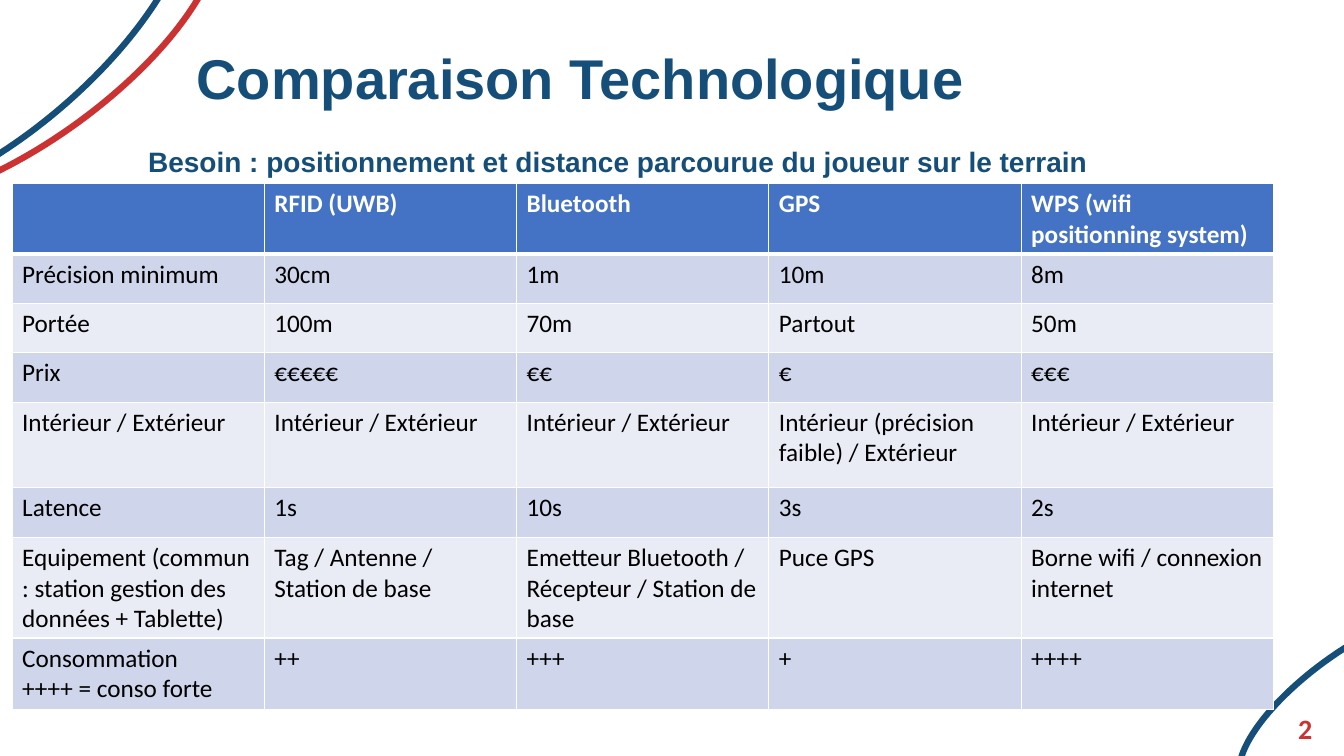
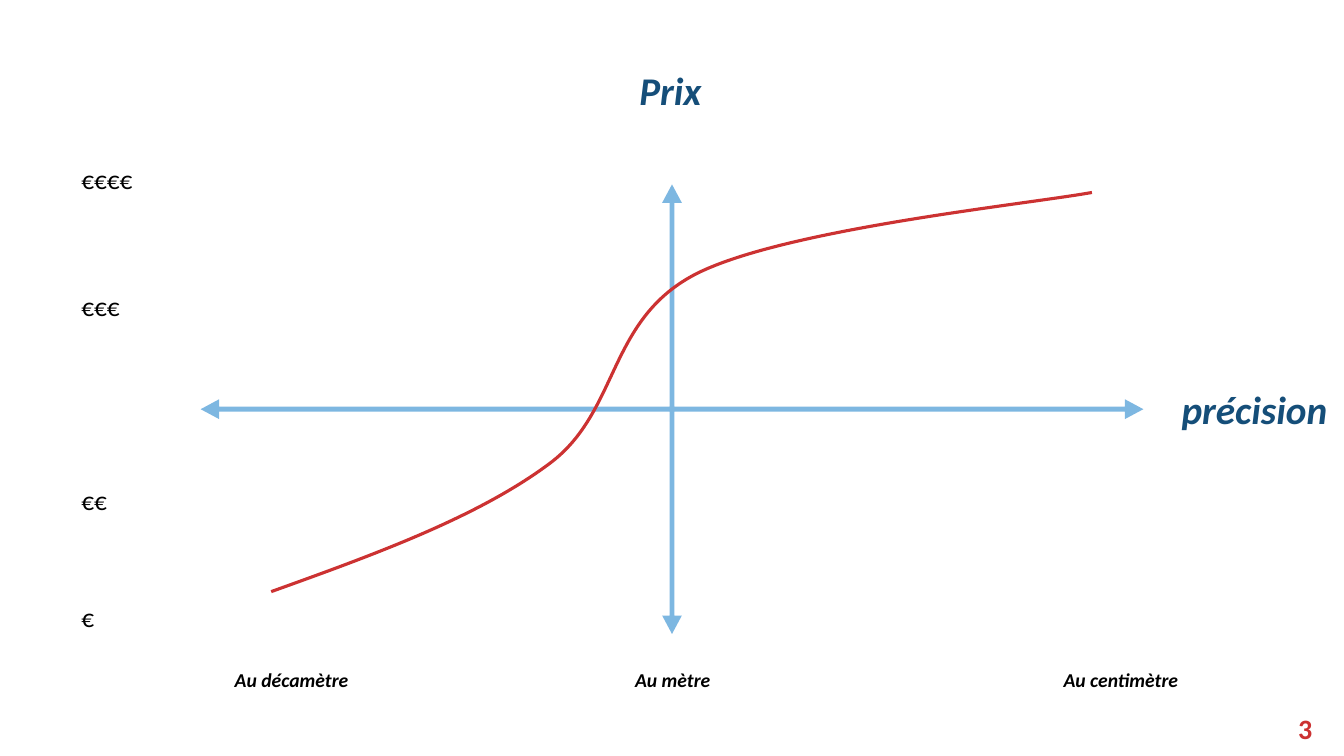
from dataclasses import dataclass
from typing import NamedTuple

from lxml.etree import SubElement
from pptx import Presentation
from pptx.dml.color import RGBColor
from pptx.enum.shapes import MSO_SHAPE
from pptx.enum.text import MSO_ANCHOR, MSO_AUTO_SIZE, PP_ALIGN
from pptx.oxml.ns import qn
from pptx.shapes.autoshape import Shape
from pptx.slide import Slide
from pptx.table import _Cell
from pptx.text.text import TextFrame
from pptx.util import Inches, Pt


class Style(NamedTuple):
    font: str
    size: int
    color: str
    bold: bool = False
    italic: bool = False


@dataclass(frozen=True)
class Theme:
    navy: str = "154E79"
    red: str = "CC3232"
    axis: str = "0072C6"
    axis_opacity: int = 51
    white: str = "FFFFFF"
    header: str = "4472C4"
    bands: tuple[str, str] = ("CFD5EA", "E9EBF5")
    title: Style = Style("Arial", 40, "154E79", bold=True)
    subtitle: Style = Style("Arial", 20, "154E79", bold=True)
    number: Style = Style("Calibri", 20, "CC3232", bold=True)
    table_head: Style = Style("Calibri", 18, "FFFFFF", bold=True)
    table_body: Style = Style("Calibri", 18, "000000")
    axis_name: Style = Style("Calibri", 28, "154E79", bold=True, italic=True)
    price: Style = Style("Calibri", 18, "000000")
    precision: Style = Style("Calibri", 14, "000000", bold=True, italic=True)


THEME = Theme()


class Box(NamedTuple):
    left: float
    top: float
    width: float
    height: float

    def emu(self) -> tuple[int, ...]:
        return tuple(Inches(value) for value in self)


class Arc(NamedTuple):
    box: Box
    rotation: float
    color: str


class Label(NamedTuple):
    text: str
    box: Box
    style: Style


# Content
ARCS = [
    Arc(Box(-0.8, -1.93, 1.95, 4.75), 54.3, THEME.red),
    Arc(Box(-1, -2.05, 1.95, 4.75), 49.4, THEME.navy),
    Arc(Box(12.98, 5.5, 1.1, 2.92), 235.4, THEME.navy),
]
NUMBER_BOX = Box(12.62, 6.95, 0.65, 0.55)

COMPARISON = [
    ["", "RFID (UWB)", "Bluetooth", "GPS", "WPS (wifi positionning system)"],
    ["Précision minimum", "30cm", "1m", "10m", "8m"],
    ["Portée", "100m", "70m", "Partout", "50m"],
    ["Prix", "€€€€€", "€€", "€", "€€€"],
    ["Intérieur / Extérieur", "Intérieur / Extérieur", "Intérieur / Extérieur",
     "Intérieur (précision faible) / Extérieur", "Intérieur / Extérieur"],
    ["Latence", "1s", "10s", "3s", "2s"],
    ["Equipement (commun : station gestion des données + Tablette)",
     "Tag / Antenne / Station de base",
     "Emetteur Bluetooth / Récepteur / Station de base",
     "Puce GPS", "Borne wifi / connexion internet"],
    ["Consommation\n++++ = conso forte", "++", "+++", "+", "++++"],
]
ROW_HEIGHTS = [0.69, 0.49, 0.49, 0.49, 0.85, 0.49, 1.0, 0.71]

AXIS_LABELS = [
    Label("précision", Box(11.62, 3.77, 1.71, 0.57), THEME.axis_name),
    *(Label("€" * count, Box(0.71, top, 0.9, 0.4), THEME.price)
      for count, top in [(4, 1.58), (3, 2.84), (2, 4.77), (1, 5.93)]),
    *(Label(text, Box(left, 6.58, 1.6, 0.34), THEME.precision)
      for text, left in [("Au décamètre", 2.23), ("Au mètre", 6.2),
                         ("Au centimètre", 10.45)]),
]
# Start point, then two control points and an end point per Bézier section
PRICE_CURVE = [
    (2.69, 5.87),
    (3.72, 5.5), (4.74, 5.13), (5.45, 4.6),
    (6.15, 4.08), (6.02, 3.16), (6.92, 2.71),
    (7.81, 2.27), (10.16, 2.03), (10.83, 1.91),
]


# Text
def rgb(color: str) -> RGBColor:
    return RGBColor.from_string(color)


def write(frame: TextFrame, text: str, style: Style,
          align: PP_ALIGN = PP_ALIGN.LEFT) -> None:
    frame.text = text
    for paragraph in frame.paragraphs:
        paragraph.alignment = align
        for run in paragraph.runs:
            font = run.font
            font.name, font.size = style.font, Pt(style.size)
            font.bold, font.italic = style.bold, style.italic
            font.color.rgb = rgb(style.color)


def add_label(slide: Slide, label: Label, align: PP_ALIGN = PP_ALIGN.LEFT,
              anchor: MSO_ANCHOR = MSO_ANCHOR.TOP) -> None:
    frame = slide.shapes.add_textbox(*label.box.emu()).text_frame
    frame.word_wrap = True
    frame.vertical_anchor = anchor
    write(frame, label.text, label.style, align)


def set_title(slide: Slide, label: Label) -> None:
    title = slide.shapes.title
    title.left, title.top, title.width, title.height = label.box.emu()
    title.text_frame.auto_size = MSO_AUTO_SIZE.NONE
    title.text_frame.word_wrap = True
    title.text_frame.vertical_anchor = MSO_ANCHOR.TOP
    write(title.text_frame, label.text, label.style)


# Shared slide parts
def outline(shape: Shape, color: str, width: float) -> None:
    shape.shadow.inherit = False
    shape.fill.background()
    shape.line.color.rgb = rgb(color)
    shape.line.width = Pt(width)


def add_arcs(slide: Slide) -> None:
    for arc in ARCS:
        shape = slide.shapes.add_shape(MSO_SHAPE.FLOWCHART_DELAY, *arc.box.emu())
        shape.rotation = arc.rotation
        outline(shape, arc.color, 4.5)


def add_number(slide: Slide, number: int) -> None:
    add_label(slide, Label(str(number), NUMBER_BOX, THEME.number),
              PP_ALIGN.CENTER, MSO_ANCHOR.MIDDLE)


# Comparison table
def set_borders(cell: _Cell, top: float, bottom: float) -> None:
    properties = cell._tc.get_or_add_tcPr()
    edges = [("a:lnL", 1), ("a:lnR", 1), ("a:lnT", top), ("a:lnB", bottom)]
    for position, (tag, width) in enumerate(edges):
        edge = SubElement(properties, qn(tag), w=str(Pt(width)))
        fill = SubElement(edge, qn("a:solidFill"))
        SubElement(fill, qn("a:srgbClr"), val=THEME.white)
        properties.insert(position, edge)


def add_comparison(slide: Slide, box: Box) -> None:
    table = slide.shapes.add_table(
        len(COMPARISON), len(COMPARISON[0]), *box.emu()).table
    for row, height in zip(table.rows, ROW_HEIGHTS):
        row.height = Inches(height)
    for row_index, texts in enumerate(COMPARISON):
        is_head = row_index == 0
        color = THEME.header if is_head else THEME.bands[(row_index - 1) % 2]
        style = THEME.table_head if is_head else THEME.table_body
        for column_index, text in enumerate(texts):
            cell = table.cell(row_index, column_index)
            cell.fill.solid()
            cell.fill.fore_color.rgb = rgb(color)
            set_borders(cell, top=3 if row_index == 1 else 1,
                        bottom=3 if is_head else 1)
            write(cell.text_frame, text, style)


# Price and precision diagram
def add_axes(slide: Slide, box: Box) -> None:
    axes = slide.shapes.add_shape(MSO_SHAPE.QUAD_ARROW, *box.emu())
    axes.shadow.inherit = False
    for index, value in enumerate((0.011, 0.022, 0.041)):
        axes.adjustments[index] = value
    axes.line.fill.background()
    axes.fill.solid()
    axes.fill.fore_color.rgb = rgb(THEME.axis)
    color = next(axes._element.spPr.iter(qn("a:srgbClr")))
    SubElement(color, qn("a:alpha"), val=str(THEME.axis_opacity * 1000))


def add_curve(slide: Slide) -> None:
    start, *points = [(Inches(x), Inches(y)) for x, y in PRICE_CURVE]
    builder = slide.shapes.build_freeform(*start)
    builder.add_line_segments(points, close=False)
    curve = builder.convert_to_shape()
    outline(curve, THEME.red, 2.25)
    # Turn every three straight segments into one Bézier section
    route = next(curve._element.iter(qn("a:path")))
    segments = route.findall(qn("a:lnTo"))
    for first in range(0, len(segments), 3):
        bezier = SubElement(route, qn("a:cubicBezTo"))
        for segment in segments[first:first + 3]:
            bezier.append(segment[0])
            route.remove(segment)


# Slides
def build_comparison(slide: Slide) -> None:
    add_arcs(slide)
    add_number(slide, 2)
    set_title(slide, Label("Comparaison Technologique",
                           Box(1.85, 0.38, 8.68, 0.77), THEME.title))
    add_label(slide, Label(
        "Besoin : positionnement et distance parcourue du joueur sur le terrain",
        Box(1.37, 1.38, 9.94, 0.44), THEME.subtitle))
    add_comparison(slide, Box(0.12, 1.82, 12.51, sum(ROW_HEIGHTS)))


def build_diagram(slide: Slide) -> None:
    add_number(slide, 3)
    set_title(slide, Label("Prix", Box(6.24, 0.61, 1, 0.57), THEME.axis_name))
    add_axes(slide, Box(1.99, 1.83, 9.35, 4.46))
    for label in AXIS_LABELS:
        add_label(slide, label)
    add_curve(slide)


def main() -> None:
    presentation = Presentation()
    presentation.slide_width = Inches(13.33)
    presentation.slide_height = Inches(7.5)
    title_only = presentation.slide_layouts[5]
    for build in (build_comparison, build_diagram):
        build(presentation.slides.add_slide(title_only))
    presentation.save("out.pptx")


if __name__ == "__main__":
    main()
